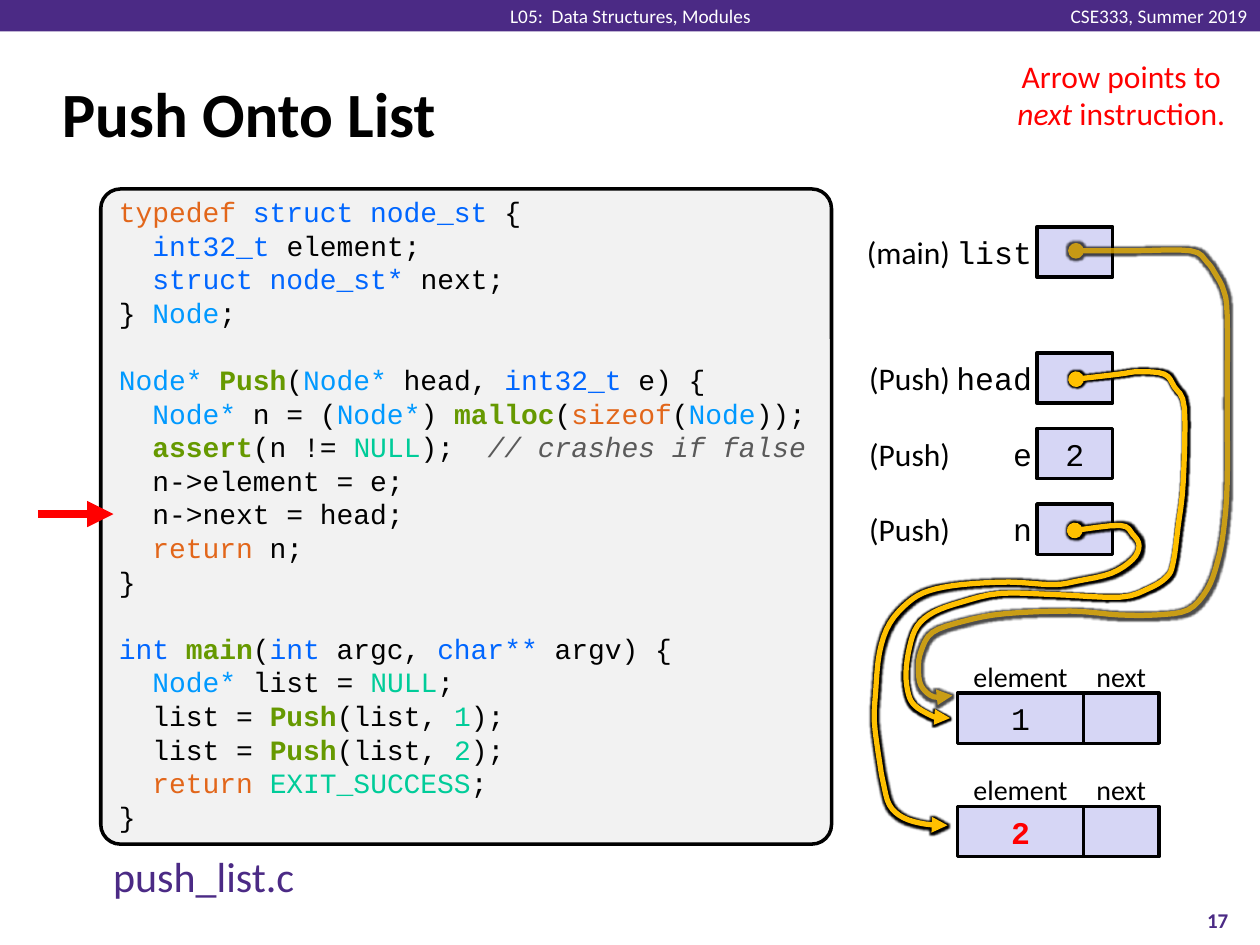
"""Build the Push Onto List slide: annotated code beside a diagram of its pointers."""
import pptx
import pptx.util
import pptx.dml.color
import pptx.enum.shapes
import pptx.enum.text
import pptx.oxml
import pptx.oxml.ns

SHAPE = pptx.enum.shapes.MSO_SHAPE
ALIGN = pptx.enum.text.PP_ALIGN
ANCHOR = pptx.enum.text.MSO_ANCHOR
NS = pptx.oxml.ns.nsdecls("a")
Pt = pptx.util.Pt
PURPLE, LILAC, GOLD, RED = "4B2A85", "D6D6F5", "FFC000", "FF0000"
SANS = dict(name="Calibri", color="000000")
MONO = dict(name="Courier New", color="000000")

prs = pptx.Presentation()
prs.slide_width, prs.slide_height = pptx.util.Inches(10), pptx.util.Inches(7.5)
cell = prs.slide_width // 100
s = prs.slides.add_slide(prs.slide_layouts[5])


def paint(fill, color):
    """Give a fill one solid hex colour."""
    fill.solid()
    fill.fore_color.rgb = pptx.dml.color.RGBColor.from_string(color)


def put(at, lines=(), kind=None, fill=None, line=None, sp=None, align=ALIGN.LEFT,
        anchor=ANCHOR.MIDDLE, margins=(1, 0.5)):
    """Place a box in grid cells and write lines of (text, format) runs in it."""
    left, top, width, height = [int(v * cell) for v in at]
    if sp is not None:
        sp.left, sp.top, sp.width, sp.height = left, top, width, height
    elif kind is None:
        sp = s.shapes.add_textbox(left, top, width, height)
    else:
        sp = s.shapes.add_shape(kind, left, top, width, height)
        sp.shadow.inherit = False
        paint(sp.fill, fill)
        if line:
            paint(sp.line.fill, line)
            sp.line.width = Pt(2)
        else:
            sp.line.fill.background()
    tf = sp.text_frame
    tf.word_wrap, tf.vertical_anchor = True, anchor
    tf.margin_left = tf.margin_right = int(margins[0] * cell)
    tf.margin_top = tf.margin_bottom = int(margins[1] * cell)
    for i, runs in enumerate(lines):
        p = tf.paragraphs[0] if i == 0 else tf.add_paragraph()
        p.alignment = align
        for text, fmt in runs:
            r = p.add_run()
            r.text = text
            for key, value in fmt.items():
                if key == "color":
                    paint(r.font.fill, value)
                else:
                    setattr(r.font, key, Pt(value) if key == "size" else value)
    return sp


put((0, 0, 100, 2.5), kind=SHAPE.RECTANGLE, fill=PURPLE)
small = SANS | dict(size=11, color="FFFFFF")
for at, text, align in [((83.8, 0.3, 16.2, 1.9), "CSE333, Summer 2019", ALIGN.RIGHT),
                        ((39.4, 0.3, 21.3, 1.9), "L05:  Data Structures, Modules", ALIGN.CENTER)]:
    put(at, [[(text, small)]], align=align, margins=(1, 0)).text_frame.word_wrap = False
put((3.9, 4.8, 91.9, 8.3), [[("Push Onto List", SANS | dict(size=36, bold=True))]], sp=s.shapes.title)
put((93.3, 71, 6.7, 4), [[("17", SANS | dict(size=12, color=PURPLE, bold=True))]], align=ALIGN.CENTER)
put((8, 67, 22, 5), [[("push_list.c", SANS | dict(size=24, color=PURPLE))]], anchor=ANCHOR.TOP)
hint = SANS | dict(size=18, color=RED)
put((79, 4, 20, 7.1), [[("Arrow points to", hint)],
                       [("next", hint | dict(italic=True)), (" instruction.", hint)]],
    align=ALIGN.CENTER, anchor=ANCHOR.TOP)

for row, value, fmt in [(55, "1", MONO), (64, "2", MONO | dict(color=RED, bold=True))]:
    for col, width, name, text, pad in [(76, 10, "element", value, 1), (86, 6, "next", "", 0.5)]:
        cells = [[(text, fmt | dict(size=18))]] if text else []
        put((col, row, width, 4), cells, SHAPE.RECTANGLE, LILAC, "000000", align=ALIGN.CENTER)
        put((col, row - 2.7, width, 2.7), [[(name, SANS | dict(size=16))]],
            align=ALIGN.CENTER, margins=(pad, 0))

for row, scope, name, value in [(18, "(main)", "list", ""), (28, "(Push)", "head", ""),
                                (34, "(Push)", "e", "2"), (40, "(Push)", "n", "")]:
    cells = [[(value, MONO | dict(size=18))]] if value else []
    put((82.3, row, 6, 4), cells, SHAPE.RECTANGLE, LILAC, "000000", align=ALIGN.CENTER)
    sp = put((68, row, 14, 4), margins=(0, 0.5))
    p = sp.text_frame.paragraphs[0]
    stops = "".join(f'<a:tab pos="{int(pos * cell)}" algn="r"/>' for pos in (7.4, 13.9))
    p._p.get_or_add_pPr().append(pptx.oxml.parse_xml(f"<a:tabLst {NS}>{stops}</a:tabLst>"))
    for text, fmt in [("\t" + scope, SANS), ("\t" + name, MONO)]:
        r = p.add_run()
        r.text = text
        r.font.name, r.font.size = fmt["name"], Pt(18)
        paint(r.font.fill, fmt["color"])

list_curve = [(85.4, 19.9), (90, 19.9), (94.5, 19.9), (95.8, 20.8), (96.5, 21.8), (97.1, 23),
              (97.4, 25), (97.4, 32), (97.4, 38.4), (97.1, 42.2), (96.6, 44.7), (95.8, 46.8),
              (94.3, 48.4), (91.8, 48.8), (88.8, 48.8), (85, 48.5), (79.8, 48.7), (76.5, 49.3),
              (74, 50.2), (73.1, 51.7), (72.9, 53), (73.1, 54.4), (74.1, 55.3), (75.6, 55.2)]
head_curve = [(85.4, 30.1), (88.8, 29.7), (90.4, 29.5), (92.4, 29.7), (93.2, 30.7), (94, 32.4),
              (93.9, 38.3), (93.5, 41.8), (93.1, 44.7), (92.6, 45.8), (91.2, 46.7), (88.9, 47.4),
              (83.8, 47.2), (79.4, 47.1), (76.3, 47.8), (74.1, 48.6), (72.8, 49.7), (72.2, 51.3),
              (71.9, 53.4), (72.1, 55.1), (72.6, 56), (73.7, 56.7), (74.5, 57), (75.4, 57)]
n_curve = [(85.3, 42.1), (88.9, 41.7), (89.9, 42.4), (90.4, 43.3), (89.9, 44.4), (88.2, 45.5),
           (85.6, 46.1), (83.6, 46.4), (80.1, 46.2), (76.3, 46.4), (73.7, 46.9), (72.1, 47.8),
           (70.6, 49.5), (69.8, 51.8), (69.5, 54.9), (69.4, 57.3), (69.8, 60.4), (70.1, 62.1),
           (70.6, 63.9), (71.7, 64.9), (73.4, 65.4), (75.2, 65.5)]
for curve, opacity in [(list_curve, 70), (head_curve, 100), (n_curve, 100)]:
    padded = [curve[0], *curve, curve[-1]]
    points = [curve[0]]
    for a, b, c, d in zip(padded, padded[1:], padded[2:], padded[3:]):
        for t in (0.25, 0.5, 0.75, 1):
            points.append([(2 * q + (m - o) * t + (2 * o - 5 * q + 4 * m - n) * t ** 2
                            + (3 * q - o - 3 * m + n) * t ** 3) / 2
                           for o, q, m, n in zip(a, b, c, d)])
    (x, y), *rest = [(v * cell, w * cell) for v, w in points]
    builder = s.shapes.build_freeform(x, y)
    builder.add_line_segments(rest, close=False)
    sp = builder.convert_to_shape()
    sp.fill.background()
    sp.shadow.inherit = False
    paint(sp.line.fill, GOLD)
    sp.line.width = Pt(3)
    ln = sp.line._ln
    alpha = f'<a:alpha {NS} val="{opacity * 1000}"/>'
    ln.find(".//" + pptx.oxml.ns.qn("a:srgbClr")).append(pptx.oxml.parse_xml(alpha))
    for end, style in [("headEnd", "oval"), ("tailEnd", "triangle")]:
        ln.append(pptx.oxml.parse_xml(f'<a:{end} {NS} type="{style}"/>'))
    glow = f'<a:glow {NS} rad="{Pt(2)}"><a:srgbClr val="000000">{alpha}</a:srgbClr></a:glow>'
    sp._element.spPr.find(pptx.oxml.ns.qn("a:effectLst")).append(pptx.oxml.parse_xml(glow))

styles = {}
for color, extra, words in [
        ("E2661A", {}, ["typedef", "sizeof", "return"]),
        ("0066FF", {}, ["struct node_st", "struct node_st*", "int32_t", "int", "char**"]),
        ("0099FF", {}, ["Node", "Node*"]),
        ("669900", dict(bold=True), ["Push", "malloc", "assert", "main"]),
        ("00CC99", {}, ["NULL", "EXIT_SUCCESS", "1", "2"]),
        ("5A5A5A", dict(italic=True), ["// crashes if false"])]:
    styles |= {word: dict(color=color, **extra) for word in words}
code = """typedef |struct node_st |{
  |int32_t |element;
  |struct node_st* |next;
} |Node|;
Node* |Push|(|Node*| head, |int32_t |e) {
  |Node* |n = (|Node*|) |malloc|(|sizeof|(|Node|));
  |assert|(n != |NULL|);  |// crashes if false
  n->element = e;
  n->next = head;
  |return| n;
}
int |main|(|int |argc, |char** |argv) {
  |Node* |list = |NULL|;
  list = |Push|(list, |1|);
  list = |Push|(list, |2|);
  |return |EXIT_SUCCESS|;
}"""
lines = [[(token, MONO | dict(size=16) | styles.get(token.strip(), {})) for token in row.split("|")]
         for row in code.split("\n")]
sp = put((8, 15, 58, 52), lines, SHAPE.ROUNDED_RECTANGLE, "F2F2F2", "000000",
         anchor=ANCHOR.TOP, margins=(1, 0))
sp.adjustments[0] = 0.03
for p in sp.text_frame.paragraphs:
    p.line_spacing = Pt(19.2)
    if p.text.startswith(("Node* Push", "int main")):
        p.space_before = Pt(19.2)

x, y, end = int(3 * cell), int(40.8 * cell), int(9 * cell)
arrow = s.shapes.add_connector(pptx.enum.shapes.MSO_CONNECTOR.STRAIGHT, x, y, end, y)
paint(arrow.line.fill, RED)
arrow.line.width = Pt(5)
arrow.line._ln.append(pptx.oxml.parse_xml(f'<a:tailEnd {NS} type="triangle"/>'))
arrow._element.spPr.append(pptx.oxml.parse_xml(f"<a:effectLst {NS}/>"))

prs.save("out.pptx")
